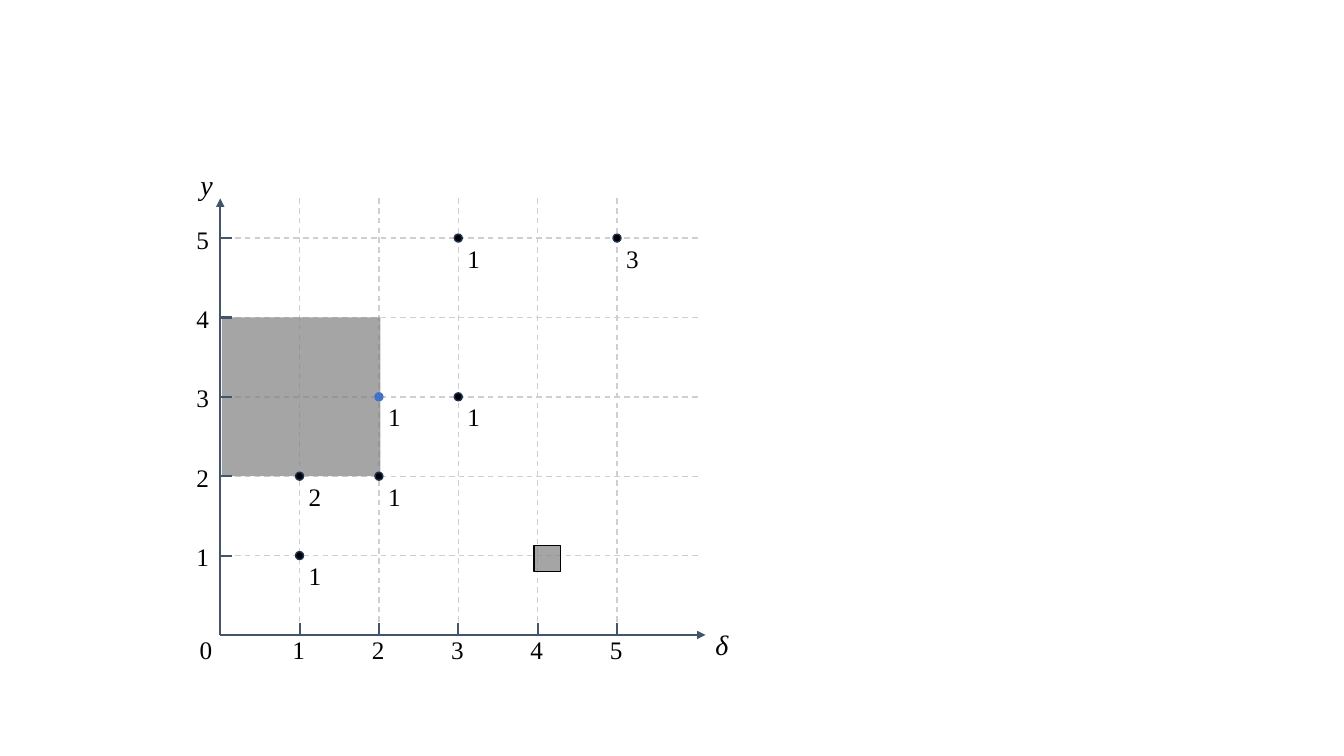
from lxml import etree
from pptx import Presentation
from pptx import util as u
from pptx.dml import color
from pptx.enum import dml, shapes, text
from pptx.oxml import ns

COLORS = {"grid": "D0CECE", "axis": "44546A", "region": "808080", "ink": "000000",
          "dot_edge": "1E3256", "highlight": "4472C4"}
X0, Y0, UNIT = 5.55, 16, 2  # origin and length of one axis unit, in cm
TICKS = range(1, 6)


def rgb(name):
    return color.RGBColor.from_string(COLORS[name])


def x_at(delta):
    return X0 + UNIT * delta


def y_at(value):
    return Y0 - UNIT * value


class Plot:
    font = "Times New Roman"

    def __init__(self, slide):
        self.items = slide.shapes

    def line(self, x1, y1, x2, y2, ink, width, dashed=False, arrow=False):
        stroke = self.items.add_connector(
            shapes.MSO_CONNECTOR.STRAIGHT, u.Cm(x1), u.Cm(y1), u.Cm(x2), u.Cm(y2))
        stroke.line.color.rgb = rgb(ink)
        stroke.line.width = u.Pt(width)
        if dashed:
            stroke.line.dash_style = dml.MSO_LINE.DASH
        if arrow:
            etree.SubElement(stroke.line._get_or_add_ln(), ns.qn("a:tailEnd"), type="triangle")
        etree.SubElement(stroke._element.spPr, ns.qn("a:effectLst"))

    def shape(self, kind, x, y, size, fill, edge=None, alpha=None):
        mark = self.items.add_shape(kind, u.Cm(x), u.Cm(y), u.Cm(size), u.Cm(size))
        mark.shadow.inherit = False
        mark.fill.solid()
        mark.fill.fore_color.rgb = rgb(fill)
        if alpha:
            tint = mark._element.spPr.find(".//" + ns.qn("a:srgbClr"))
            etree.SubElement(tint, ns.qn("a:alpha"), val=str(alpha * 1000))
        if edge:
            mark.line.color.rgb = rgb(edge)
            mark.line.width = u.Pt(1)
        else:
            mark.line.fill.background()

    def square(self, x, y, size, edge=None):
        self.shape(shapes.MSO_SHAPE.RECTANGLE, x, y, size, "region", edge, alpha=70)

    def label(self, words, x, y, width=0.9, size=18, italic=None, centred=False):
        height = 1.03 if size == 18 else 1.11
        frame = self.items.add_textbox(u.Cm(x), u.Cm(y), u.Cm(width), u.Cm(height)).text_frame
        frame.word_wrap = True
        frame.auto_size = text.MSO_AUTO_SIZE.SHAPE_TO_FIT_TEXT
        paragraph = frame.paragraphs[0]
        if centred:
            paragraph.alignment = text.PP_ALIGN.CENTER
        run = paragraph.add_run()
        run.text = words
        run.font.name = self.font
        run.font.size = u.Pt(size)
        run.font.italic = italic
        run.font.color.rgb = rgb("ink")

    def point(self, delta, y, count, fill="ink", edge="dot_edge"):
        self.shape(shapes.MSO_SHAPE.OVAL, x_at(delta) - 0.1, y_at(y) - 0.1, 0.2, fill, edge)
        self.label(count, x_at(delta) - 0.61, y_at(y), width=2, centred=True)


def main():
    prs = Presentation()
    prs.slide_width, prs.slide_height = u.Cm(33.87), u.Cm(19.05)
    plot = Plot(prs.slides.add_slide(prs.slide_layouts[6]))

    # Dashed grid
    for n in TICKS:
        plot.line(x_at(n), 5, x_at(n), Y0, "grid", 1, dashed=True)
        plot.line(17.58, y_at(n), 5.59, y_at(n), "grid", 1, dashed=True)

    # Shaded region
    plot.square(5.59, y_at(4), 2 * UNIT)

    # Axes with arrowheads and names
    plot.line(X0, Y0, 17.78, Y0, "axis", 1.5, arrow=True)
    plot.line(X0, Y0, X0, 5, "axis", 1.5, arrow=True)
    plot.label("δ", 17.78, 15.7, width=0.69, size=20, italic=True)
    plot.label("y", 4.8, 4.09, width=0.69, size=20, italic=True)
    plot.label("0", 4.78, 15.85, width=0.97)

    # Ticks and their numbers
    for n in TICKS:
        plot.line(x_at(n), 15.98, x_at(n), 15.7, "axis", 1.5)
        plot.line(5.84, y_at(n), X0, y_at(n), "axis", 1.5)
        plot.label(str(n), x_at(n) - 0.43, 15.85)
        plot.label(str(n), 4.7, y_at(n) - 0.48)

    # Points with their counts
    for delta, y, count in [(1, 1, "1"), (1, 2, "2"), (2, 2, "1"),
                            (3, 3, "1"), (3, 5, "1"), (5, 5, "3")]:
        plot.point(delta, y, count)
    plot.point(2, 3, "1", fill="highlight", edge="highlight")

    # Small outlined square
    plot.square(13.46, 13.74, 0.67, edge="ink")

    prs.save("out.pptx")


if __name__ == "__main__":
    main()
